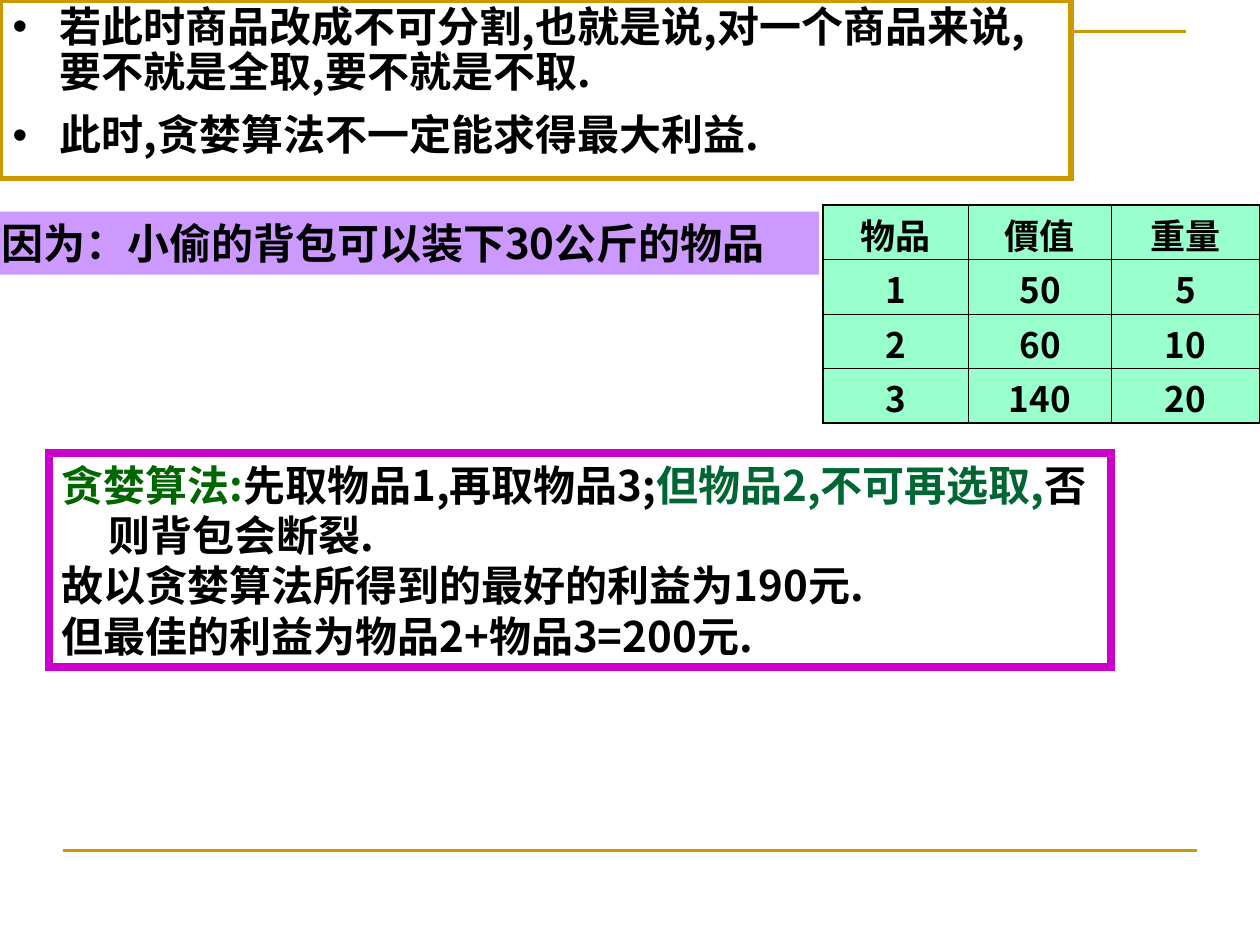
from dataclasses import dataclass

import pptx
import pptx.dml.color
import pptx.enum.shapes
import pptx.enum.text
import pptx.oxml.ns
import pptx.util
from lxml import etree

Pt = pptx.util.Pt
RGBColor = pptx.dml.color.RGBColor
qn = pptx.oxml.ns.qn

FONT = "Noto Sans CJK SC"
BLACK = RGBColor(0x00, 0x00, 0x00)
WHITE = RGBColor(0xFF, 0xFF, 0xFF)
GOLD = RGBColor(0xCC, 0x99, 0x00)
MAGENTA = RGBColor(0xCC, 0x00, 0xCC)
LILAC = RGBColor(0xCC, 0x99, 0xFF)
MINT = RGBColor(0x99, 0xFF, 0xCC)
GREEN = RGBColor(0x00, 0x66, 0x00)
TEAL = RGBColor(0x00, 0x66, 0x33)
HANG = 27


@dataclass
class Box:
    left: float
    top: float
    width: float
    height: float
    fill: RGBColor | None = None
    line: RGBColor | None = None
    weight: float = 0
    wrap: bool = True


def add_text(p, text: str, *, size: float = 24, color: RGBColor = BLACK) -> None:
    r = p.add_run()
    r.text = text
    r.font.size = Pt(size)
    r.font.bold = True
    r.font.name = FONT
    r.font.color.rgb = color
    ea = etree.SubElement(r.font._element, qn("a:ea"))
    ea.set("typeface", FONT)


def format_box(sp, box: Box):
    sp.left, sp.top = Pt(box.left), Pt(box.top)
    sp.width, sp.height = Pt(box.width), Pt(box.height)
    if box.fill is not None:
        sp.fill.solid()
        sp.fill.fore_color.rgb = box.fill
    if box.line is not None:
        sp.line.color.rgb = box.line
        sp.line.width = Pt(box.weight)
        ln = sp._element.spPr.find(qn("a:ln"))
        etree.SubElement(ln, qn("a:miter")).set("lim", "800000")
    tf = sp.text_frame
    tf.word_wrap = box.wrap
    tf.auto_size = pptx.enum.text.MSO_AUTO_SIZE.NONE
    tf.vertical_anchor = pptx.enum.text.MSO_ANCHOR.TOP
    return tf


def add_box(s, box: Box):
    return format_box(s.shapes.add_textbox(0, 0, 0, 0), box)


def add_paragraph(tf, index: int, hang: float = HANG):
    p = tf.add_paragraph() if index else tf.paragraphs[0]
    pPr = p._p.get_or_add_pPr()
    pPr.set("marL", str(Pt(hang)))
    pPr.set("indent", str(Pt(-hang)))
    pPr.set("hangingPunct", "0")
    return p


def add_bullet(p, color: RGBColor) -> None:
    pPr = p._p.get_or_add_pPr()
    clr = etree.SubElement(pPr, qn("a:buClr"))
    etree.SubElement(clr, qn("a:srgbClr")).set("val", str(color))
    etree.SubElement(pPr, qn("a:buChar")).set("char", "•")


def set_borders(cell, weights: dict[str, float]) -> None:
    tcPr = cell._tc.get_or_add_tcPr()
    for i, (side, weight) in enumerate(weights.items()):
        ln = etree.Element(qn(f"a:ln{side}"))
        ln.set("w", str(Pt(weight)))
        fill = etree.SubElement(ln, qn("a:solidFill"))
        etree.SubElement(fill, qn("a:srgbClr")).set("val", str(BLACK))
        tcPr.insert(i, ln)


def add_frame_lines(s) -> None:
    fb = s.shapes.build_freeform(Pt(30), Pt(66), scale=1.0)
    fb.add_line_segments([(Pt(30), Pt(18)), (Pt(678), Pt(18))], close=False)
    corner = fb.convert_to_shape()
    corner.fill.background()
    corner.shadow.inherit = False
    rule = s.shapes.add_connector(
        pptx.enum.shapes.MSO_CONNECTOR.STRAIGHT, Pt(36), Pt(486), Pt(684), Pt(486))
    etree.SubElement(rule._element.spPr, qn("a:effectLst"))
    for sp in (corner, rule):
        sp.line.color.rgb = GOLD
        sp.line.width = Pt(1.5)


def add_items_table(s, rows: list[tuple[str, ...]], widths: list[float]) -> None:
    height = 31.15
    frame = s.shapes.add_table(len(rows), len(widths), Pt(470.4), Pt(117.2),
                               Pt(sum(widths)), Pt(height * len(rows)))
    table = frame.table
    for column, width in zip(table.columns, widths):
        column.width = Pt(width)
    outer, inner = 1.08, 0.45
    for i, row in enumerate(rows):
        table.rows[i].height = Pt(height)
        for j, text in enumerate(row):
            cell = table.cell(i, j)
            cell.margin_top, cell.margin_bottom = Pt(2), Pt(0)
            cell.fill.solid()
            cell.fill.fore_color.rgb = MINT
            set_borders(cell, {
                "L": outer if j == 0 else inner,
                "R": outer if j == len(row) - 1 else inner,
                "T": outer if i == 0 else inner,
                "B": outer if i == len(rows) - 1 else inner,
            })
            p = cell.text_frame.paragraphs[0]
            p.alignment = pptx.enum.text.PP_ALIGN.CENTER
            add_text(p, text, size=20)


def main() -> None:
    prs = pptx.Presentation()
    prs.slide_width, prs.slide_height = Pt(720), Pt(540)
    s = prs.slides.add_slide(prs.slide_layouts[1])
    title = s.shapes.title._element
    title.getparent().remove(title)
    body = s.placeholders[1]

    add_frame_lines(s)
    add_items_table(s, [("物品", "價值", "重量"), ("1", "50", "5"),
                        ("2", "60", "10"), ("3", "140", "20")], [83.2, 81.4, 85])

    tf = add_box(s, Box(28.2, 258.8, 606.6, 122.4, line=MAGENTA, weight=4.5))
    conclusions = [
        [("贪婪算法:", GREEN), ("先取物品1,再取物品3;", BLACK),
         ("但物品2,不可再选取,", TEAL), ("否则背包会断裂.", BLACK)],
        [("故以贪婪算法所得到的最好的利益为190元.", BLACK)],
        [("但最佳的利益为物品2+物品3=200元.", BLACK)],
    ]
    for i, runs in enumerate(conclusions):
        p = add_paragraph(tf, i)
        for text, color in runs:
            add_text(p, text, color=color)

    tf = add_box(s, Box(-6.5, 121, 474.5, 36, fill=LILAC, wrap=False))
    add_text(tf.paragraphs[0], "因为：小偷的背包可以装下30公斤的物品")

    s.shapes._spTree.append(body._element)
    tf = format_box(body, Box(0, 0, 612, 102.2, fill=WHITE, line=GOLD, weight=3))
    points = ["若此时商品改成不可分割,也就是说,对一个商品来说,要不就是全取,要不就是不取.",
              "此时,贪婪算法不一定能求得最大利益."]
    for i, text in enumerate(points):
        p = add_paragraph(tf, i)
        p.line_spacing = 0.9
        p.space_before = Pt(10 if i else 0)
        add_bullet(p, BLACK)
        add_text(p, text)

    prs.save("out.pptx")


if __name__ == "__main__":
    main()
